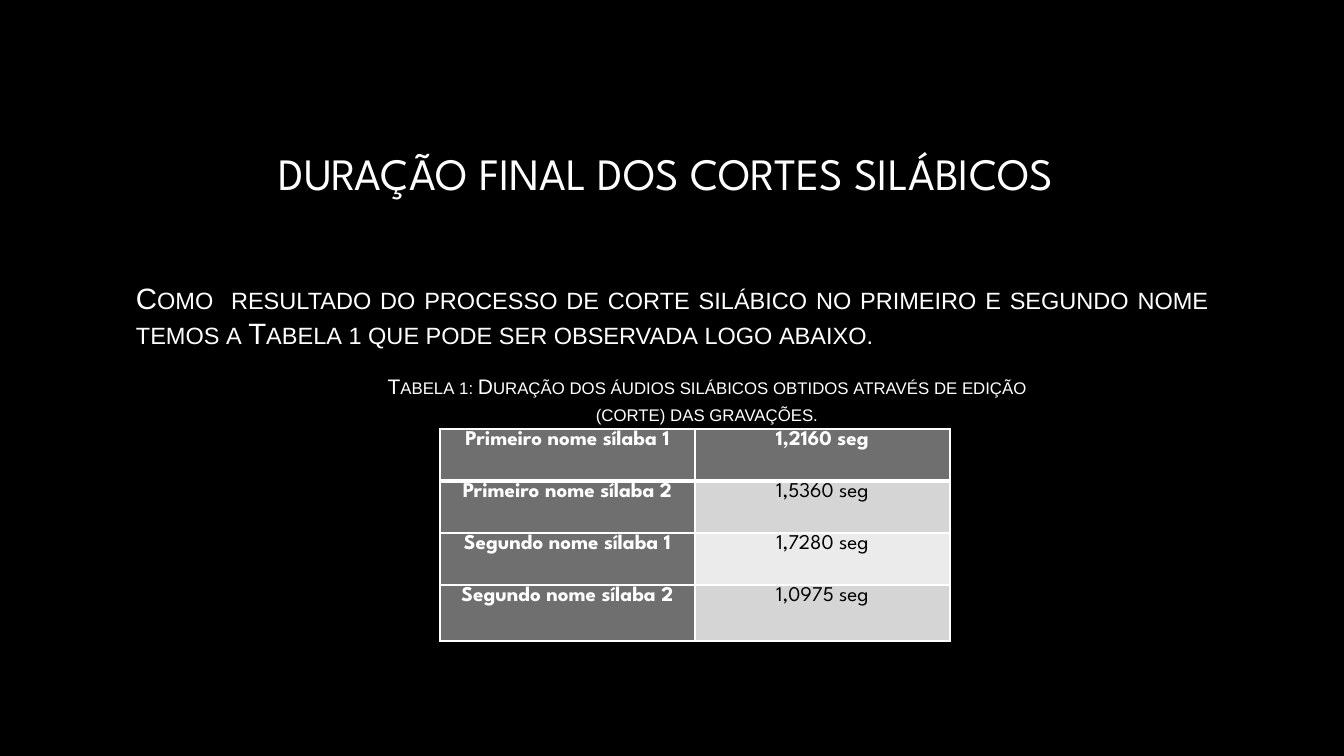
from lxml import etree
from pptx import Presentation
from pptx.dml.color import RGBColor
from pptx.enum.text import MSO_ANCHOR, PP_ALIGN
from pptx.oxml.ns import qn
from pptx.util import Pt

WHITE = RGBColor(0xFF, 0xFF, 0xFF)
BLACK = RGBColor(0, 0, 0)
DARK = RGBColor(0x6F, 0x6F, 0x6F)
MID = RGBColor(0xD5, 0xD5, 0xD5)
PALE = RGBColor(0xEB, 0xEB, 0xEB)
CENTER, JUSTIFY = PP_ALIGN.CENTER, PP_ALIGN.JUSTIFY
TOP, MIDDLE = MSO_ANCHOR.TOP, MSO_ANCHOR.MIDDLE
HEAD, BODY = "League Spartan", "Arial"
SCALE = 914400 / 100.8

ROWS = [
    ("Primeiro nome sílaba 1", "1,2160 seg"),
    ("Primeiro nome sílaba 2", "1,5360 seg"),
    ("Segundo nome sílaba 1", "1,7280 seg"),
    ("Segundo nome sílaba 2", "1,0975 seg"),
]


def px(n):
    return round(n * SCALE)


class Deck:
    def __init__(self, wide, high):
        self.show = Presentation()
        self.show.slide_width, self.show.slide_height = px(wide), px(high)
        self.slide = self.show.slides.add_slide(self.show.slide_layouts[6])
        fill = self.slide.background.fill
        fill.solid()
        fill.fore_color.rgb = BLACK

    def style(self, para, text, size, face, color=WHITE, bold=False, align=CENTER):
        para.text = text
        para.alignment = align
        font = para.font
        font.size, font.name, font.bold = Pt(size), face, bold
        font.color.rgb = color

    def text(self, box, text, size, face, align=CENTER, anchor=TOP, small=False, lead=1.0):
        frame = self.slide.shapes.add_textbox(*map(px, box)).text_frame
        frame.word_wrap = True
        frame.vertical_anchor = anchor
        para = frame.paragraphs[0]
        self.style(para, text, size, face, align=align)
        para.line_spacing = lead
        if small:
            para._p.get_or_add_pPr().get_or_add_defRPr().set("cap", "small")

    def edge(self, cell, side, width):
        line = etree.SubElement(cell._tc.get_or_add_tcPr(), qn(f"a:ln{side}"), w=str(Pt(width)))
        fill = etree.SubElement(line, qn("a:solidFill"))
        etree.SubElement(fill, qn("a:srgbClr"), val=str(WHITE))

    def table(self, left, top, wide, highs, rows):
        count = len(rows[0])
        frame = self.slide.shapes.add_table(
            len(rows), count, px(left), px(top), px(wide * count), px(sum(highs)))
        grid = frame.table
        grid.first_col, grid.horz_banding = True, False
        for col in grid.columns:
            col.width = px(wide)
        for r, (high, row) in enumerate(zip(highs, rows)):
            grid.rows[r].height = px(high)
            for c, text in enumerate(row):
                self.cell(grid.cell(r, c), r, c, text)

    def cell(self, cell, r, c, text):
        label = r == 0 or c == 0
        cell.margin_left = cell.margin_right = px(7)
        cell.margin_top = cell.margin_bottom = 0
        for side in "LRTB":
            thick = (r, side) in ((0, "B"), (1, "T"))
            self.edge(cell, side, 3 if thick else 1)
        cell.fill.solid()
        cell.fill.fore_color.rgb = DARK if label else MID if r % 2 else PALE
        para = cell.text_frame.paragraphs[0]
        self.style(para, text, 15, HEAD, WHITE if label else BLACK, label)
        para.line_spacing = 1.07


def main():
    deck = Deck(1344, 756)
    deck.text((126, 68, 1092, 210), "DURAÇÃO FINAL DOS CORTES SILÁBICOS ", 32, HEAD, anchor=MIDDLE)
    deck.table(440, 429, 255, [52, 52, 52, 56], ROWS)
    deck.text(
        (371, 367, 672, 65),
        "Tabela 1: Duração dos áudios silábicos obtidos através de edição (corte) das gravações.",
        15, BODY, small=True, lead=1.07)
    deck.text(
        (126, 275, 1092, 82),
        "Como  resultado do processo de corte silábico no primeiro e segundo nome "
        "temos a Tabela 1 que pode ser observada logo abaixo.",
        21, BODY, align=JUSTIFY, small=True)
    deck.show.save("out.pptx")


if __name__ == "__main__":
    main()
